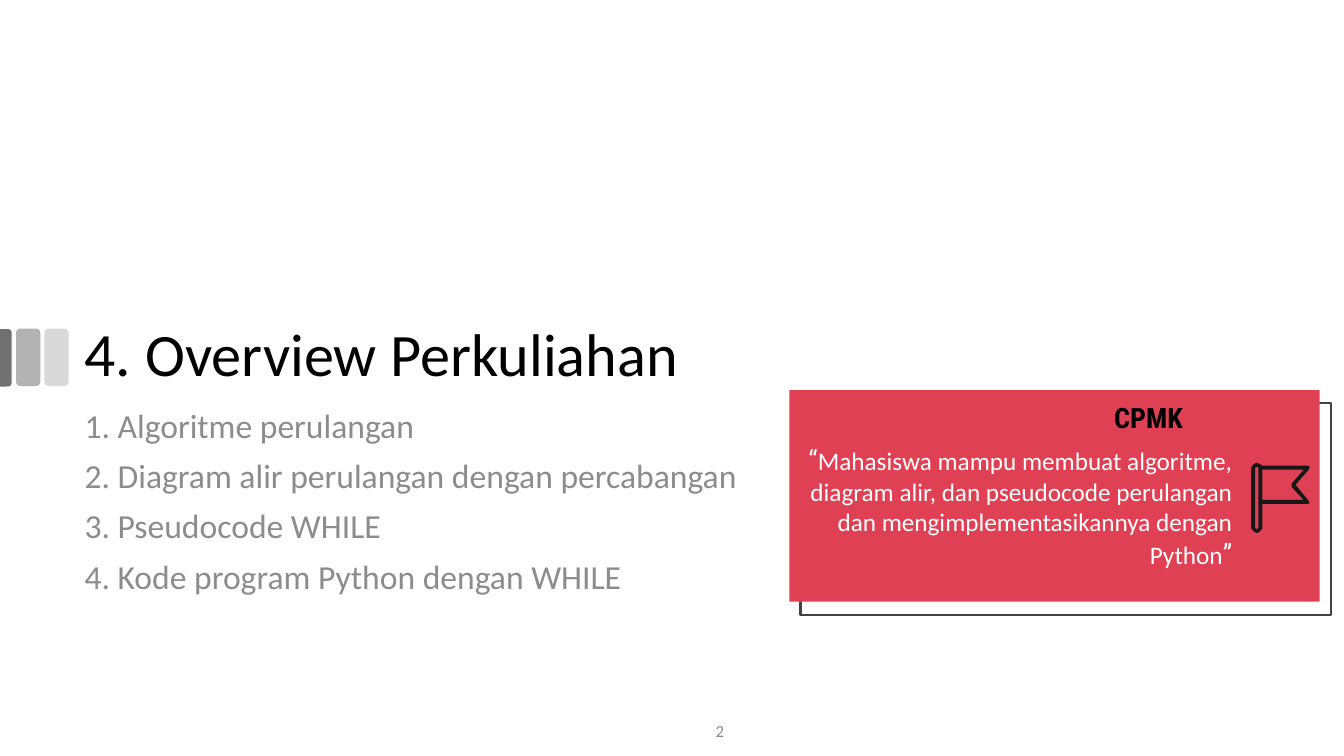
from pptx import Presentation
from pptx.dml.color import RGBColor
from pptx.enum.shapes import MSO_SHAPE
from pptx.enum.text import MSO_ANCHOR, PP_ALIGN
from pptx.util import Pt

PX = 9144
COLORS = {
    "black": "000000", "white": "FFFFFF", "muted": "8C8C8C", "red": "E04053",
    "outline": "434343", "flag": "181717",
    "bar_light": "D9D9D9", "bar_mid": "B3B3B3", "bar_dark": "717171",
}
BODY, ACCENT = "Calibri", "Roboto Condensed"
TOPICS = [
    "1. Algoritme perulangan",
    "2. Diagram alir perulangan dengan percabangan",
    "3. Pseudocode WHILE",
    "4. Kode program Python dengan WHILE",
]
GOAL = ("Mahasiswa mampu membuat algoritme, diagram alir, dan pseudocode "
        "perulangan dan mengimplementasikannya dengan Python")
FLAG_OUTLINE = [
    (0, 5), (2, 2), (5, 0), (8, 1), (11, 3), (56, 3), (58, 4), (57, 7),
    (44, 22), (57, 38), (58, 40), (56, 41), (11, 41), (11, 65), (9, 68),
    (6, 70), (2, 68), (0, 65),
]
POLE_HOLE = [(4, 5), (6, 4), (7, 5), (7, 65), (6, 66), (4, 65)]
CLOTH_HOLE = [(52, 7), (40, 21), (40, 24), (52, 37), (11, 37), (11, 7)]


def rgb(name):
    return RGBColor.from_string(COLORS[name])


def emu(*lengths):
    return [n * PX for n in lengths]


def add_box(slide, kind, box, fill=None, line=None):
    sp = slide.shapes.add_shape(kind, *emu(*box))
    sp.shadow.inherit = False
    if fill:
        sp.fill.solid()
        sp.fill.fore_color.rgb = rgb(fill)
    else:
        sp.fill.background()
    if line:
        sp.line.color.rgb = rgb(line)
        sp.line.width = Pt(1.5)
    else:
        sp.line.fill.background()
    return sp


def add_text(slide, box, paragraphs, color, align=PP_ALIGN.LEFT,
             anchor=MSO_ANCHOR.TOP, inset=None, spacing=None, before=0, bold=False):
    tf = slide.shapes.add_textbox(*emu(*box)).text_frame
    tf.word_wrap = True
    tf.vertical_anchor = anchor
    if inset is not None:
        tf.margin_left = tf.margin_right = tf.margin_top = tf.margin_bottom = inset * PX
    for i, runs in enumerate(paragraphs):
        p = tf.add_paragraph() if i else tf.paragraphs[0]
        p.alignment = align
        p.space_before = Pt(before)
        if spacing:
            p.line_spacing = spacing
        for text, size, font in runs:
            r = p.add_run()
            r.text = text
            r.font.size = Pt(size)
            r.font.name = font
            r.font.bold = bold
            r.font.color.rgb = rgb(color)


def add_bars(slide, x, y):
    w, h, pitch = 24, 57, 28
    for i, fill in enumerate(["bar_mid", "bar_light"]):
        sp = add_box(slide, MSO_SHAPE.ROUNDED_RECTANGLE,
                     (x + 16 + i * pitch, y, w, h), fill)
        sp.adjustments[0] = 0.17
    sp = add_box(slide, MSO_SHAPE.ROUND_2_SAME_RECTANGLE,
                 (x - 23, y + 23, h, 12), "bar_dark")
    sp.adjustments[0], sp.adjustments[1] = 0.29, 0
    sp.rotation = 90


def add_overview(slide, x, y):
    add_text(slide, (x, y, 1150, 100),
             [[("4. ", 44, BODY), ("Overview Perkuliahan", 43, BODY)]],
             "black", anchor=MSO_ANCHOR.BOTTOM, spacing=0.9)
    add_text(slide, (x, y + 109, 759, 217), [[(t, 24, BODY)] for t in TOPICS],
             "muted", spacing=0.9, before=10)


def add_flag(slide, x, y):
    def place(points):
        return [((x + dx) * PX, (y + dy) * PX) for dx, dy in points]

    start, *rest = place(FLAG_OUTLINE)
    builder = slide.shapes.build_freeform(*start)
    builder.add_line_segments(rest, close=True)
    for hole in (POLE_HOLE, CLOTH_HOLE):
        start, *rest = place(hole)
        builder.move_to(*start)
        builder.add_line_segments(rest, close=True)
    sp = builder.convert_to_shape()
    sp.shadow.inherit = False
    sp.fill.solid()
    sp.fill.fore_color.rgb = rgb("flag")
    sp.line.fill.background()


def add_goal_card(slide, x, y, w, h):
    add_box(slide, MSO_SHAPE.RECTANGLE, (x + 11, y + 13, w, h), line="outline")
    add_box(slide, MSO_SHAPE.RECTANGLE, (x, y, w, h), "red")
    add_text(slide, (x, y + 42, 449, 86),
             [[("“", 20, ACCENT), (GOAL, 18, BODY), ("”", 20, ACCENT)]],
             "white", PP_ALIGN.RIGHT, inset=10)
    add_text(slide, (x + 49, y - 7, 351, 61), [[("CPMK", 20, ACCENT)]],
             "black", PP_ALIGN.RIGHT, MSO_ANCHOR.BOTTOM, inset=10, bold=True)
    add_flag(slide, x + 458, y + 72)


def add_page_number(slide, box):
    add_text(slide, box, [[("2", 12, BODY)]], "muted",
             PP_ALIGN.CENTER, MSO_ANCHOR.MIDDLE)


def main():
    prs = Presentation()
    prs.slide_width, prs.slide_height = emu(1333, 750)
    slide = prs.slides.add_slide(prs.slide_layouts[6])
    add_bars(slide, 0, 326)
    add_overview(slide, 74, 292)
    add_goal_card(slide, 783, 387, 526, 210)
    add_page_number(slide, (564, 705, 300, 40))
    prs.save("out.pptx")


if __name__ == "__main__":
    main()
